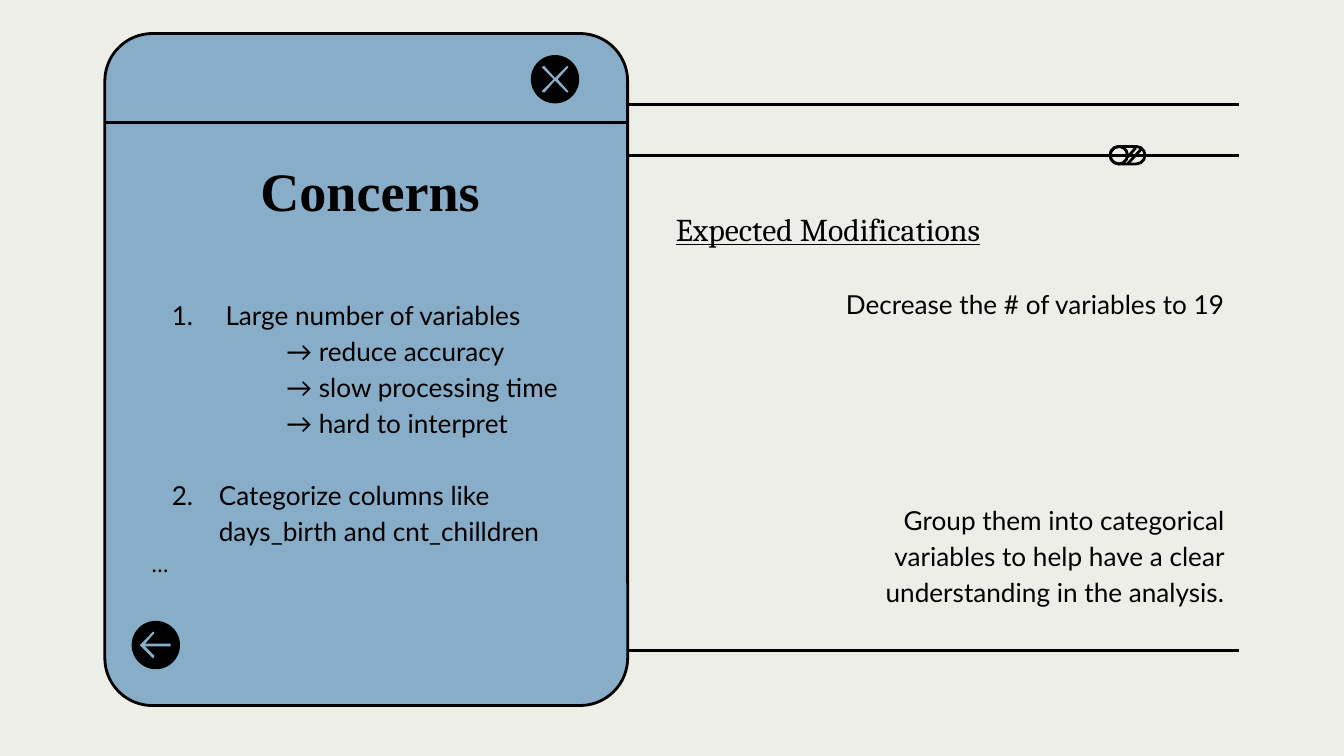
from dataclasses import dataclass
from pptx import Presentation
from pptx.dml.color import RGBColor
from pptx.enum.shapes import MSO_CONNECTOR, MSO_SHAPE
from pptx.enum.text import MSO_ANCHOR, PP_ALIGN
from pptx.oxml.ns import qn
from pptx.util import Inches, Pt
from lxml.etree import SubElement


@dataclass(frozen=True)
class Theme:
    back: str = "EEEEE9"
    card: str = "88ADC8"
    ink: str = "000000"
    title: str = "Times New Roman"
    head: str = "Cambria"
    body: str = "Lato"
    title_size: float = 29
    head_size: float = 17
    body_size: float = 14
    small_size: float = 12
    rule: float = 1.5
    leading: float = 1.15


T = Theme()
ROW = 19.3  # height of one body line in points
CROSS = [(2, 0), (0, 1), (9, 10), (0, 19), (2, 20), (10, 11),
         (19, 20), (20, 19), (12, 10), (20, 1), (19, 0), (10, 9)]
ARROW = [(10, 0), (0, 10), (10, 20), (11, 18), (4, 11),
         (23, 11), (23, 9), (4, 9), (11, 1)]


def color(code):
    return RGBColor.from_string(code)


def paint(shape, fill=None, line=None):
    shape.shadow.inherit = False
    if fill:
        shape.fill.solid()
        shape.fill.fore_color.rgb = color(fill)
    else:
        shape.fill.background()
    if line:
        shape.line.color.rgb = color(line)
        shape.line.width = Pt(T.rule)
    else:
        shape.line.fill.background()


def add_shape(slide, kind, x, y, w, h, fill=None, line=None):
    shape = slide.shapes.add_shape(
        kind, Inches(x), Inches(y), Inches(w), Inches(h))
    paint(shape, fill, line)
    return shape


def add_line(slide, x1, y1, x2, y2):
    line = slide.shapes.add_connector(
        MSO_CONNECTOR.STRAIGHT, Inches(x1), Inches(y1), Inches(x2), Inches(y2))
    line.line.color.rgb = color(T.ink)
    line.line.width = Pt(T.rule)
    SubElement(line._element.spPr, qn("a:effectLst"))


def add_box(slide, x, y, w, h):
    box = slide.shapes.add_textbox(Inches(x), Inches(y), Inches(w), Inches(h))
    pad(box.text_frame)
    return box.text_frame


def pad(frame):
    frame.word_wrap = True
    frame.margin_left = frame.margin_right = Inches(0.1)
    frame.margin_top = frame.margin_bottom = Inches(0.1)


def indent(para, left, hang=0, number=None):
    """Set the indents in inches and, if given, the list number."""
    props = para._p.get_or_add_pPr()
    props.set("marL", str(Inches(left)))
    props.set("indent", str(Inches(-hang)))
    if number:
        tint = SubElement(props, qn("a:buClr"))
        SubElement(tint, qn("a:srgbClr")).set("val", T.ink)
        mark = SubElement(props, qn("a:buAutoNum"))
        mark.set("type", "arabicPeriod")
        mark.set("startAt", str(number))


def write(para, text, size=T.body_size, face=T.body, bold=False, under=False):
    run = para.add_run()
    run.text = text
    font = run.font
    font.name, font.size = face, Pt(size)
    font.bold, font.underline = bold, under
    font.color.rgb = color(T.ink)


def add_button(slide, x, y, points, dx, dy):
    """Draw a round button with a glyph given in hundredths of an inch."""
    add_shape(slide, MSO_SHAPE.OVAL, x, y, 0.36, 0.36, T.ink)
    pen = slide.shapes.build_freeform(*points[0], scale=Inches(0.01))
    pen.add_line_segments(points[1:], close=True)
    paint(pen.convert_to_shape(Inches(x + dx), Inches(y + dy)), T.card)


def add_toggle(slide, x, y, w, h):
    """Draw a pill with a round knob at its left and hatching at its right."""
    pill = add_shape(slide, MSO_SHAPE.ROUNDED_RECTANGLE, x, y, w, h, line=T.ink)
    pill.adjustments[0] = 0.5
    add_shape(slide, MSO_SHAPE.OVAL, x, y, h, h, line=T.ink)
    add_line(slide, x + h, y + 0.08, x + h + 0.06, y + 0.01)
    add_line(slide, x + h, y + h, x + h + 0.11, y + 0.01)


def add_card(slide, x, y, w, h):
    card = add_shape(slide, MSO_SHAPE.ROUNDED_RECTANGLE, x, y, w, h,
                     T.card, T.ink)
    card.adjustments[0] = 0.091
    add_line(slide, x, y + 0.66, x + w, y + 0.66)
    add_button(slide, x + 3.17, y + 0.16, CROSS, 0.08, 0.08)
    add_button(slide, x + 0.2, y + 4.37, ARROW, 0.06, 0.08)
    add_title(slide, x + 0.2, y + 0.93, 3.55, 0.59)
    add_concerns(slide, x + 0.25, y + 1.84, 3.45, 2.8)


def add_title(slide, x, y, w, h):
    title = slide.shapes.title
    title.left, title.top = Inches(x), Inches(y)
    title.width, title.height = Inches(w), Inches(h)
    slide.shapes._spTree.append(title._element)  # bring in front of the card
    frame = title.text_frame
    pad(frame)
    frame.vertical_anchor = MSO_ANCHOR.MIDDLE
    para = frame.paragraphs[0]
    para.alignment = PP_ALIGN.CENTER
    para.line_spacing = 0.7
    write(para, "Concerns", T.title_size, T.title, bold=True)


def add_concerns(slide, x, y, w, h):
    frame = add_box(slide, x, y, w, h)
    rows = [
        ("Large number of variables", 0.55, 0.4, 1, 0, T.body_size),
        ("→ reduce accuracy", 1, 0, None, 0, T.body_size),
        ("→ slow processing time", 1, 0, None, 0, T.body_size),
        ("→ hard to interpret", 1, 0, None, 0, T.body_size),
        ("Categorize columns like days_birth and cnt_chilldren",
         0.5, 0.35, 2, ROW, T.body_size),
        ("…", 0, 0, None, 0, T.small_size),
    ]
    for i, (text, left, hang, number, gap, size) in enumerate(rows):
        para = frame.add_paragraph() if i else frame.paragraphs[0]
        para.line_spacing = T.leading
        if gap:
            para.space_before = Pt(gap)
        indent(para, left, hang, number)
        write(para, text, size)


def add_changes(slide, x, y, w, h):
    frame = add_box(slide, x, y, w, h)
    write(frame.paragraphs[0], "Expected Modifications",
          T.head_size, T.head, under=True)
    rows = [
        ("Decrease the # of variables to 19", ROW),
        ("Group them into categorical variables to help have a clear "
         "understanding in the analysis.", 5 * ROW),
    ]
    for text, gap in rows:
        para = frame.add_paragraph()
        para.alignment = PP_ALIGN.RIGHT
        para.line_spacing = T.leading
        para.space_before = Pt(gap)
        indent(para, 1.25)
        write(para, text)


def main():
    deck = Presentation()
    deck.slide_width = Inches(10)
    deck.slide_height = deck.slide_width * 9 // 16
    slide = deck.slides.add_slide(deck.slide_layouts[5])
    slide.background.fill.solid()
    slide.background.fill.fore_color.rgb = color(T.back)
    for y in (0.78, 1.16, 4.84):
        add_line(slide, 0.78, y, 9.22, y)
    add_card(slide, 0.78, 0.25, 3.89, 5)
    add_toggle(slide, 8.26, 1.09, 0.26, 0.13)
    add_changes(slide, 4.93, 1.46, 4.28, 3.2)
    deck.save("out.pptx")


if __name__ == "__main__":
    main()
